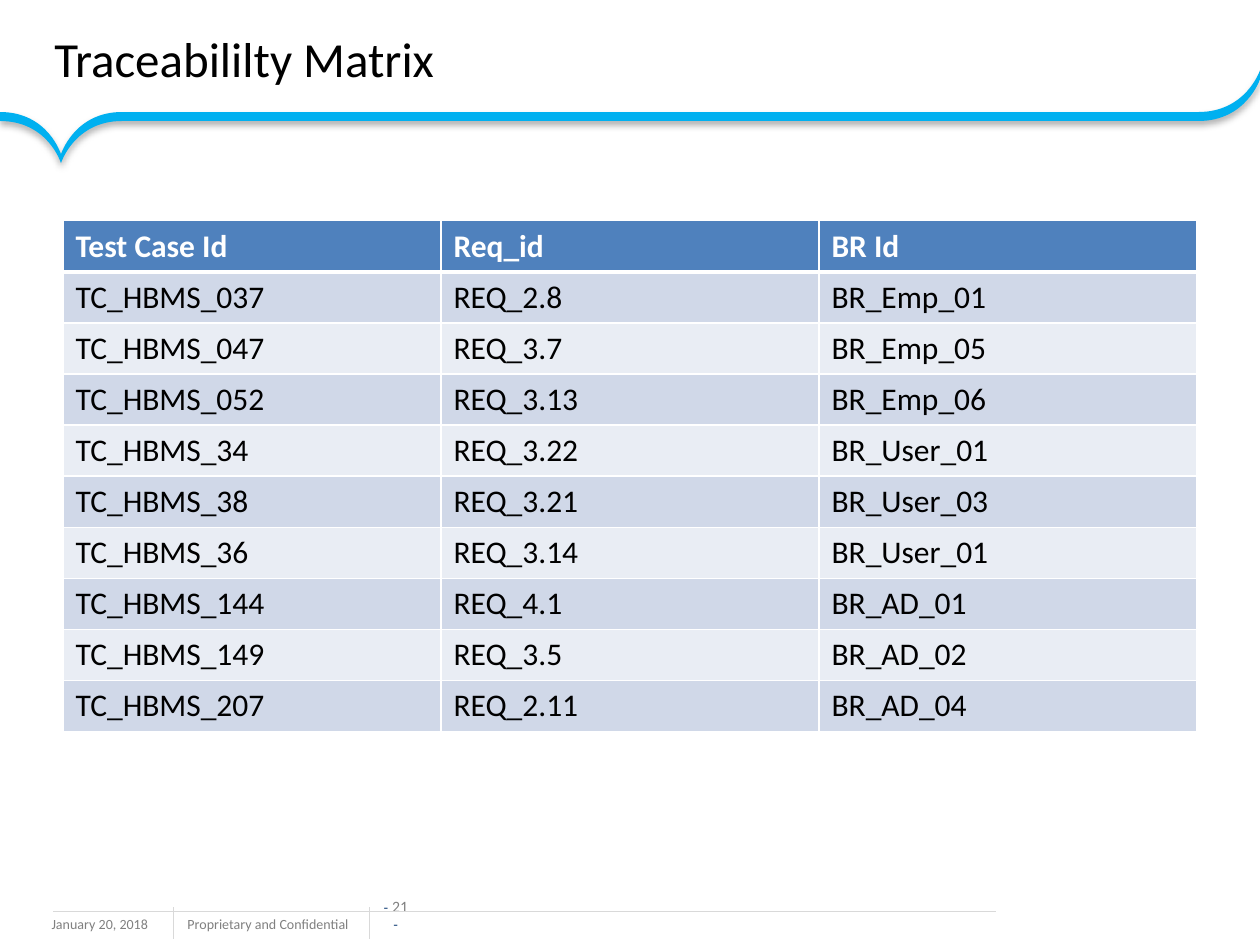
"""Build the traceability matrix slide with its ribbon and footer."""
import lxml.etree
import pptx
import pptx.dml.color
import pptx.enum.shapes
import pptx.enum.text
import pptx.oxml
import pptx.oxml.ns
import pptx.util
from pptx.util import Cm, Pt


def color(hex_string):
    """Turn a hex string into a colour."""
    return pptx.dml.color.RGBColor.from_string(hex_string)


presentation = pptx.Presentation()
presentation.slide_width = Cm(25.4)
presentation.slide_height = Cm(19.05)
slide = presentation.slides.add_slide(presentation.slide_layouts[5])
namespace = pptx.oxml.ns.nsdecls("a")

footer_texts = [
    (0.79, 18.34, 3.38, [("January 20, 2018", "Calibri", 8, "808080")]),
    (3.53, 18.34, 3.99, [("Proprietary and Confidential", "Calibri", 8, "808080")]),
    (7.65, 18.42, 0.66, [("- ", "Arial", 8, "1F497D"), ("21 ", "Calibri", 9, "808080"),
                         ("-", "Arial", 8, "1F497D")]),
]
for left, top, width, runs in footer_texts:
    text_box = slide.shapes.add_textbox(Cm(left), Cm(top), Cm(width), Cm(0.62))
    text_frame = text_box.text_frame
    text_frame.word_wrap = True
    paragraph = text_frame.paragraphs[0]
    for text, font_name, size, hex_string in runs:
        run = paragraph.add_run()
        run.text = text
        run.font.name = font_name
        run.font.size = Pt(size)
        run.font.color.rgb = color(hex_string)

text_box.height = Cm(0.38)
text_frame.margin_left = text_frame.margin_right = 0
text_frame.margin_top = text_frame.margin_bottom = 0
text_frame.vertical_anchor = pptx.enum.text.MSO_ANCHOR.BOTTOM
paragraph.alignment = pptx.enum.text.PP_ALIGN.CENTER

footer_lines = [
    (3.5, 18.29, 3.5, 18.92),
    (7.45, 18.29, 7.45, 18.92),
    (20.07, 18.37, 1.07, 18.37),
]
for ends in footer_lines:
    connector = slide.shapes.add_connector(
        pptx.enum.shapes.MSO_CONNECTOR.STRAIGHT, *[Cm(value) for value in ends])
    connector.line.color.rgb = color("D9D9D9")
    connector.line.width = Pt(0.75)
    lxml.etree.SubElement(connector._element.spPr, pptx.oxml.ns.qn("a:effectLst"))

ribbon_curves = [
    [(2.46, 2.26)] * 3,
    [(1.5, 2.26), (1.23, 3.11), (1.23, 3.11)],
    [(1.23, 3.11), (0.97, 2.26), (0, 2.26)],
    [(0, 2.44)] * 3,
    [(0.97, 2.44), (1.23, 3.29), (1.23, 3.29)],
    [(1.23, 3.29), (1.5, 2.44), (2.46, 2.44)],
    [(24.16, 2.44)] * 3,
    [(25.12, 2.44), (25.4, 1.6), (25.4, 1.6)],
    [(25.4, 1.42)] * 3,
    [(25.4, 1.42), (25.12, 2.26), (24.16, 2.26)],
]
builder = slide.shapes.build_freeform(Cm(24.16), Cm(2.26))
builder.add_line_segments(
    [(Cm(x), Cm(y)) for curve in ribbon_curves for x, y in curve], close=True)
ribbon = builder.convert_to_shape()
segments = list(ribbon._element.iter(pptx.oxml.ns.qn("a:lnTo")))
for start in range(0, len(ribbon_curves) * 3, 3):
    curve = pptx.oxml.parse_xml(f"<a:cubicBezTo {namespace}/>")
    segments[start].addprevious(curve)
    for segment in segments[start:start + 3]:
        curve.append(segment[0])
        segment.getparent().remove(segment)
ribbon.fill.solid()
ribbon.fill.fore_color.rgb = color("00B0F0")
ribbon.line.fill.background()
ribbon._element.spPr.append(pptx.oxml.parse_xml(
    f'<a:effectLst {namespace}>'
    f'<a:outerShdw blurRad="{Pt(4)}" dist="{Pt(2)}" dir="5400000" rotWithShape="0">'
    '<a:srgbClr val="000000"><a:alpha val="31000"/></a:srgbClr>'
    '</a:outerShdw></a:effectLst>'))

title = slide.shapes.title
title.left, title.top, title.width, title.height = Cm(0.84), Cm(0.06), Cm(22.86), Cm(2.21)
title.text_frame.text = "Traceabililty Matrix"
title.text_frame.vertical_anchor = pptx.enum.text.MSO_ANCHOR.MIDDLE
paragraph = title.text_frame.paragraphs[0]
paragraph.alignment = pptx.enum.text.PP_ALIGN.LEFT
paragraph.font.name = "Calibri"
paragraph.font.size = Pt(28)
paragraph.font.color.rgb = color("000000")

matrix = [
    ("Test Case Id", "Req_id", "BR Id"),
    ("TC_HBMS_037", "REQ_2.8", "BR_Emp_01"),
    ("TC_HBMS_047", "REQ_3.7", "BR_Emp_05"),
    ("TC_HBMS_052", "REQ_3.13", "BR_Emp_06"),
    ("TC_HBMS_34", "REQ_3.22", "BR_User_01"),
    ("TC_HBMS_38", "REQ_3.21", "BR_User_03"),
    ("TC_HBMS_36", "REQ_3.14", "BR_User_01"),
    ("TC_HBMS_144", "REQ_4.1", "BR_AD_01"),
    ("TC_HBMS_149", "REQ_3.5", "BR_AD_02"),
    ("TC_HBMS_207", "REQ_2.11", "BR_AD_04"),
]
table = slide.shapes.add_table(
    len(matrix), 3, Cm(1.27), Cm(4.45), Cm(22.86), Cm(10.3)).table
for row_index, row in enumerate(matrix):
    is_header = row_index == 0
    band = "D0D8E8" if row_index % 2 else "E9EDF4"
    for column_index, text in enumerate(row):
        cell = table.cell(row_index, column_index)
        cell.text = text
        cell.fill.solid()
        cell.fill.fore_color.rgb = color("4F81BD" if is_header else band)
        font = cell.text_frame.paragraphs[0].font
        font.name = "Calibri"
        font.size = Pt(18)
        font.bold = is_header
        font.color.rgb = color("FFFFFF" if is_header else "000000")
        if is_header:
            cell._tc.tcPr.insert(0, pptx.oxml.parse_xml(
                f'<a:lnB {namespace} w="{Pt(3)}"><a:solidFill>'
                '<a:srgbClr val="FFFFFF"/></a:solidFill></a:lnB>'))

presentation.save("out.pptx")
